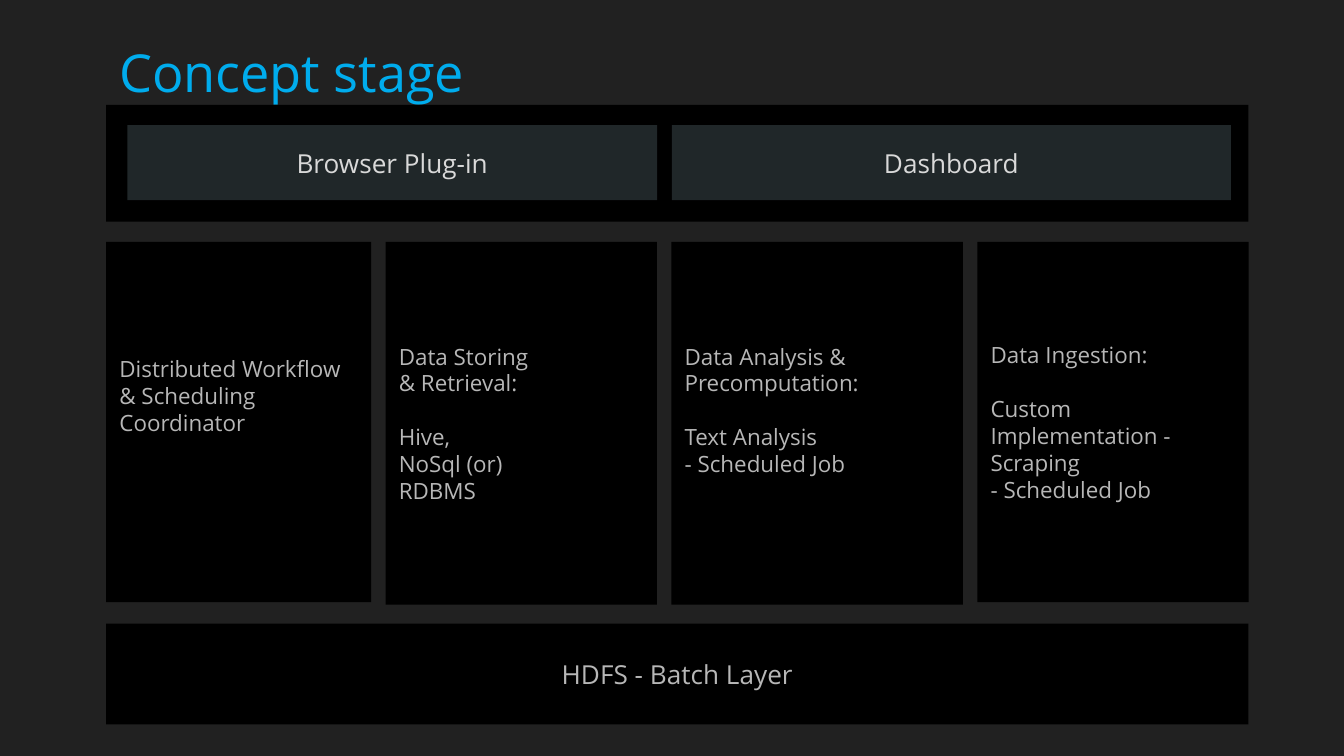
"""Build the "Concept stage" architecture slide."""
from pptx import Presentation
from pptx.dml.color import RGBColor
from pptx.enum.shapes import MSO_SHAPE
from pptx.enum.text import MSO_ANCHOR, PP_ALIGN
from pptx.util import Pt

RECT = MSO_SHAPE.RECTANGLE
TOP, MIDDLE = MSO_ANCHOR.TOP, MSO_ANCHOR.MIDDLE
LEFT, CENTER = PP_ALIGN.LEFT, PP_ALIGN.CENTER

COLORS = {
    "background": "212121",
    "title": "00ACED",
    "block": "000000",
    "panel": "202729",
    "block_text": "B7B7B7",
    "panel_text": "D9D9D9",
}
FONT = "Open Sans"
INSET = 7.2
LINE = 14.4
EDGE, WIDTH = 56.9, 612
GAP = 7.7
COLUMN_TOP = 129.6

COLUMNS = [
    (142, 193, 2, [["Distributed Workflow & Scheduling Coordinator"]]),
    (145.4, 194.4, 0, [["Data Storing \v& Retrieval:"],
                       ["Hive,", "NoSql (or)", "RDBMS"]]),
    (156.2, 194.4, 1, [["Data Analysis & Precomputation:"],
                       ["Text Analysis", "- Scheduled Job"]]),
    (145.4, 193, 0, [["Data Ingestion:"],
                     ["Custom Implementation - Scraping", "- Scheduled Job"]]),
]
PANELS = [("Browser Plug-in", 68.2, 283.9), ("Dashboard", 360, 299.4)]


class Deck:
    """Hold the style and the current slide."""

    def __init__(self, prs):
        self.s = prs.slides.add_slide(prs.slide_layouts[6])
        fill = self.s.background.fill
        fill.solid()
        fill.fore_color.rgb = self.color("background")

    def color(self, name):
        return RGBColor.from_string(COLORS[name])

    def set_text(self, sp, groups, size, color, align, anchor, below=0):
        tf = sp.text_frame
        tf.word_wrap = True
        tf.vertical_anchor = anchor
        tf.margin_left = tf.margin_right = tf.margin_top = Pt(INSET)
        tf.margin_bottom = Pt(INSET + below * LINE)
        lines = [(g, i, text) for g, group in enumerate(groups)
                 for i, text in enumerate(group)]
        for n, (g, i, text) in enumerate(lines):
            p = tf.add_paragraph() if n else tf.paragraphs[0]
            p.text = text
            p.alignment = align
            if g and i == 0:
                p.space_before = Pt(LINE)
            p.font.name = FONT
            p.font.size = Pt(size)
            p.font.color.rgb = self.color(color)

    def title(self, text, x, y, w, h):
        sp = self.s.shapes.add_textbox(Pt(x), Pt(y), Pt(w), Pt(h))
        self.set_text(sp, [[text]], 28, "title", LEFT, TOP)

    def block(self, x, y, w, h, fill="block"):
        sp = self.s.shapes.add_shape(RECT, Pt(x), Pt(y), Pt(w), Pt(h))
        sp.shadow.inherit = False
        sp.fill.solid()
        sp.fill.fore_color.rgb = self.color(fill)
        sp.line.fill.background()
        return sp

    def label(self, text, x, y, w, h, fill="block"):
        sp = self.block(x, y, w, h, fill)
        self.set_text(sp, [[text]], 14, fill + "_text", CENTER, MIDDLE)

    def column(self, groups, x, y, w, h, below):
        sp = self.block(x, y, w, h)
        self.set_text(sp, groups, 12, "block_text", LEFT, MIDDLE, below)


def main():
    prs = Presentation()
    prs.slide_width, prs.slide_height = Pt(720), Pt(405)
    deck = Deck(prs)
    deck.block(EDGE, 56.2, WIDTH, 62.6)
    deck.title("Concept stage", EDGE, 14.4, WIDTH, 43.9)
    for text, x, w in PANELS:
        deck.label(text, x, 67, w, 40.3, "panel")
    x = EDGE
    for w, h, below, groups in COLUMNS:
        deck.column(groups, x, COLUMN_TOP, w, h, below)
        x += w + GAP
    deck.label("HDFS - Batch Layer", EDGE, 334.1, WIDTH, 54)
    prs.save("out.pptx")


if __name__ == "__main__":
    main()
